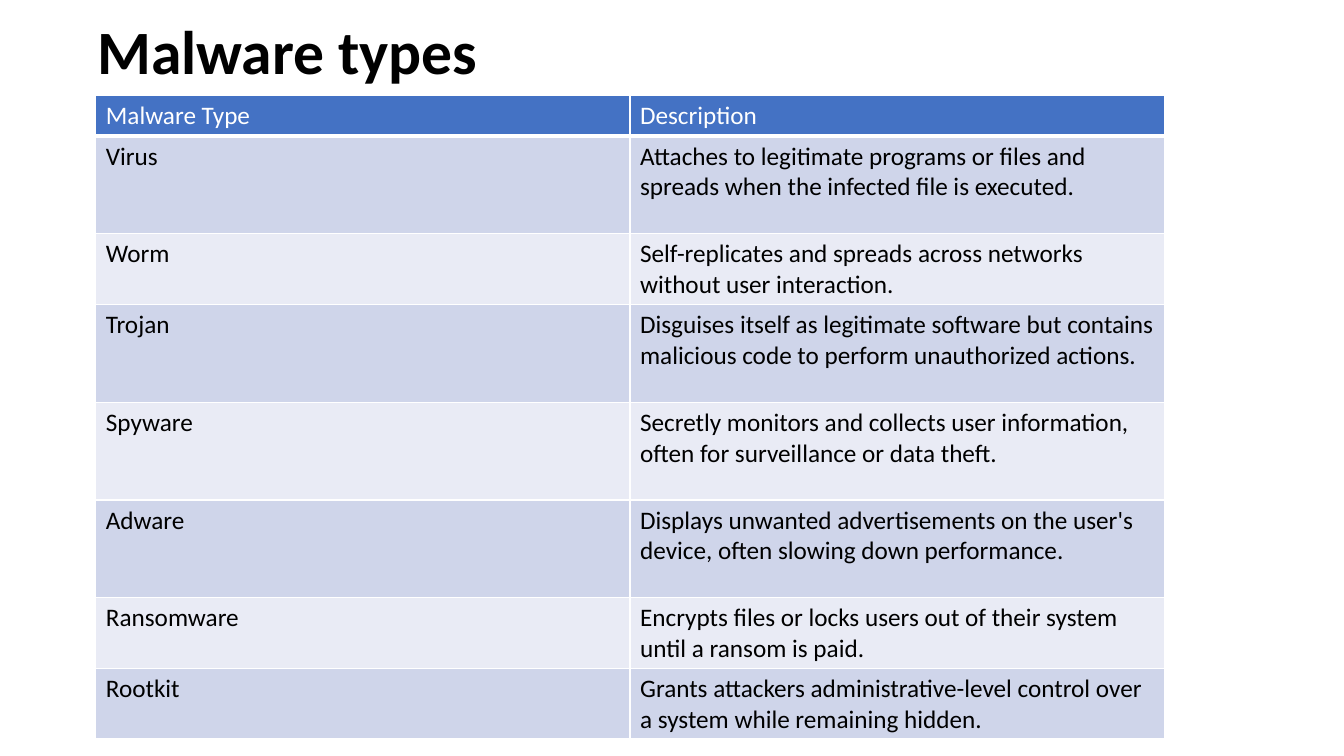
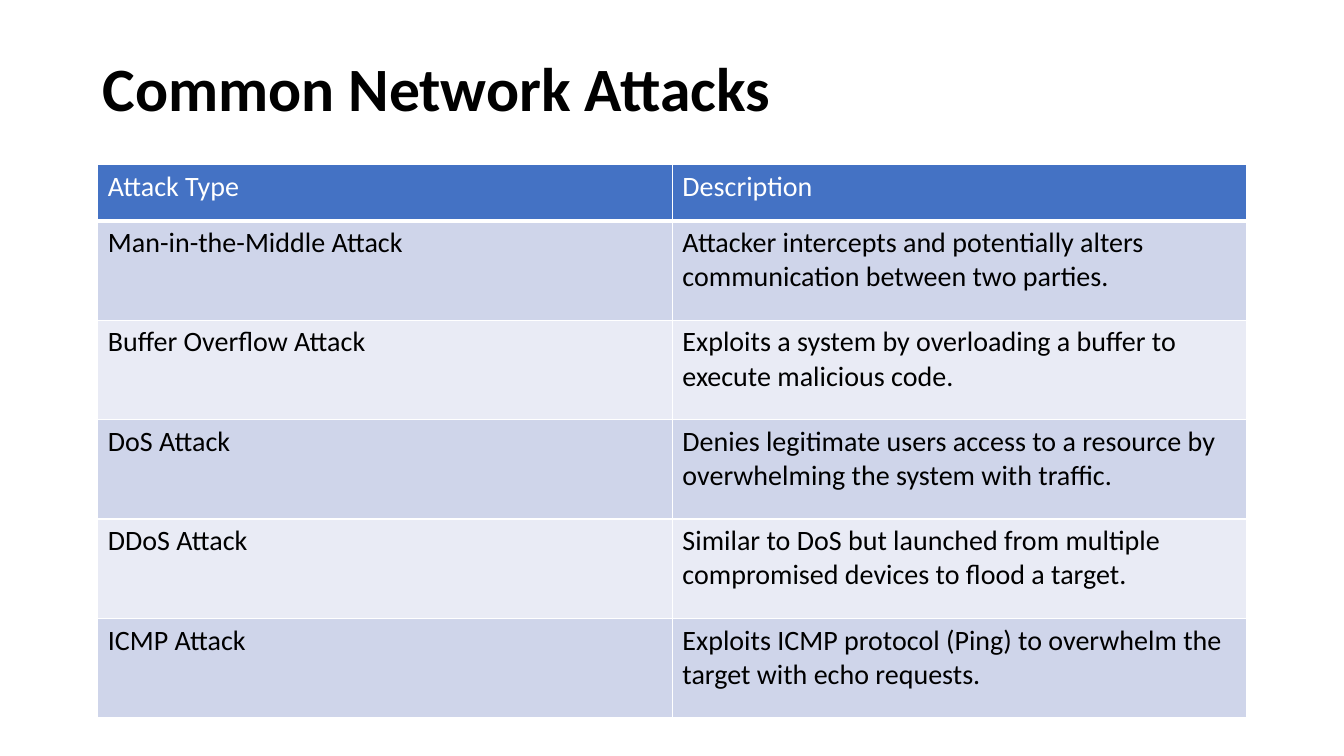
from lxml import etree
from pptx import Presentation, util as u
from pptx.dml.color import RGBColor
from pptx.enum import text
from pptx.oxml import ns

FONT = "Calibri"
WHITE, BLACK = "FFFFFF", "000000"
HEADER, BANDS = "4472C4", ("CFD5EA", "E9EBF5")


def color(hex_code):
    return RGBColor.from_string(hex_code)


def write(tf, content, size, fill=BLACK, bold=False, line_spacing=None, tracking=None):
    """Fill the first paragraph of a text frame."""
    p = tf.paragraphs[0]
    p.alignment = text.PP_ALIGN.LEFT
    p.line_spacing = line_spacing
    r = p.add_run()
    r.text = content
    r.font.name, r.font.size, r.font.bold = FONT, u.Pt(size), bold
    r.font.color.rgb = color(fill)
    if tracking is not None:
        r.font._element.set("spc", str(round(tracking * 100)))


def set_borders(cell, bottom=1):
    """Draw white cell borders; they come before the fill in the XML."""
    tc_pr = cell._tc.get_or_add_tcPr()
    widths = {"lnL": 1, "lnR": 1, "lnT": 1, "lnB": bottom}
    for i, (side, width) in enumerate(widths.items()):
        ln = etree.Element(ns.qn("a:" + side), w=str(u.Pt(width)))
        solid = etree.SubElement(ln, ns.qn("a:solidFill"))
        etree.SubElement(solid, ns.qn("a:srgbClr"), val=WHITE)
        tc_pr.insert(i, ln)


class Deck:
    """Shared style and current slide; lengths are percent of the slide size."""

    def __init__(self):
        self.prs = Presentation()
        self.prs.slide_width, self.prs.slide_height = u.Inches(13.33), u.Inches(7.5)
        self.s = None

    def x(self, share):
        return round(self.prs.slide_width * share / 100)

    def y(self, share):
        return round(self.prs.slide_height * share / 100)

    def new_slide(self):
        self.s = self.prs.slides.add_slide(self.prs.slide_layouts[6])
        self.s.background.fill.solid()
        self.s.background.fill.fore_color.rgb = color(WHITE)

    def title(self, content, left, top, width, height, inset=True, tracking=None):
        sp = self.s.shapes.add_textbox(self.x(left), self.y(top), self.x(width), self.y(height))
        tf = sp.text_frame
        tf.word_wrap = True
        tf.vertical_anchor = text.MSO_ANCHOR.MIDDLE
        if not inset:
            tf.margin_left = tf.margin_right = tf.margin_bottom = 0
            tf.margin_top = u.Inches(0.01)
        write(tf, content, 44, bold=True, line_spacing=0.9, tracking=tracking)

    def table(self, rows, left, top, width, heights, size):
        """Two equal columns, a header row and alternating bands."""
        frame = self.s.shapes.add_table(len(rows), 2, self.x(left), self.y(top),
                                        self.x(width), self.y(sum(heights)))
        table = frame.table
        table.first_row = table.horz_banding = False
        for i, (row, height) in enumerate(zip(rows, heights)):
            table.rows[i].height = self.y(height)
            is_header = i == 0
            for j, content in enumerate(row):
                cell = table.cell(i, j)
                cell.fill.solid()
                cell.fill.fore_color.rgb = color(HEADER if is_header else BANDS[(i - 1) % 2])
                set_borders(cell, bottom=3 if is_header else 1)
                write(cell.text_frame, content, size, WHITE if is_header else BLACK)


MALWARE = [
    ("Malware Type", "Description"),
    ("Virus", "Attaches to legitimate programs or files and spreads when the infected file is executed."),
    ("Worm", "Self-replicates and spreads across networks without user interaction."),
    ("Trojan", "Disguises itself as legitimate software but contains malicious code to perform "
               "unauthorized actions."),
    ("Spyware", "Secretly monitors and collects user information, often for surveillance or data theft."),
    ("Adware", "Displays unwanted advertisements on the user's device, often slowing down performance."),
    ("Ransomware", "Encrypts files or locks users out of their system until a ransom is paid."),
    ("Rootkit", "Grants attackers administrative-level control over a system while remaining hidden."),
]
ATTACKS = [
    ("Attack Type", "Description"),
    ("Man-in-the-Middle Attack",
     "Attacker intercepts and potentially alters communication between two parties."),
    ("Buffer Overflow Attack", "Exploits a system by overloading a buffer to execute malicious code."),
    ("DoS Attack", "Denies legitimate users access to a resource by overwhelming the system with traffic."),
    ("DDoS Attack", "Similar to DoS but launched from multiple compromised devices to flood a target."),
    ("ICMP Attack", "Exploits ICMP protocol (Ping) to overwhelm the target with echo requests."),
]


def main():
    deck = Deck()

    # Malware types: rows are either tall or short
    deck.new_slide()
    deck.title("Malware types", 7.28, 2.6, 61, 9, inset=False, tracking=-0.1)
    tall, short = 12.93, 9.33
    deck.table(MALWARE, 7.13, 12.67, 79.5,
               [5.33, tall, short, tall, tall, tall, short, short], size=18)

    # Network attacks: equal rows below the header
    deck.new_slide()
    deck.title("Common Network Attacks", 6.9, 2.4, 86.25, 19.33)
    deck.table(ATTACKS, 7.28, 21.8, 85.5, [7.4] + [13.15] * 5, size=20)

    deck.prs.save("out.pptx")


if __name__ == "__main__":
    main()
